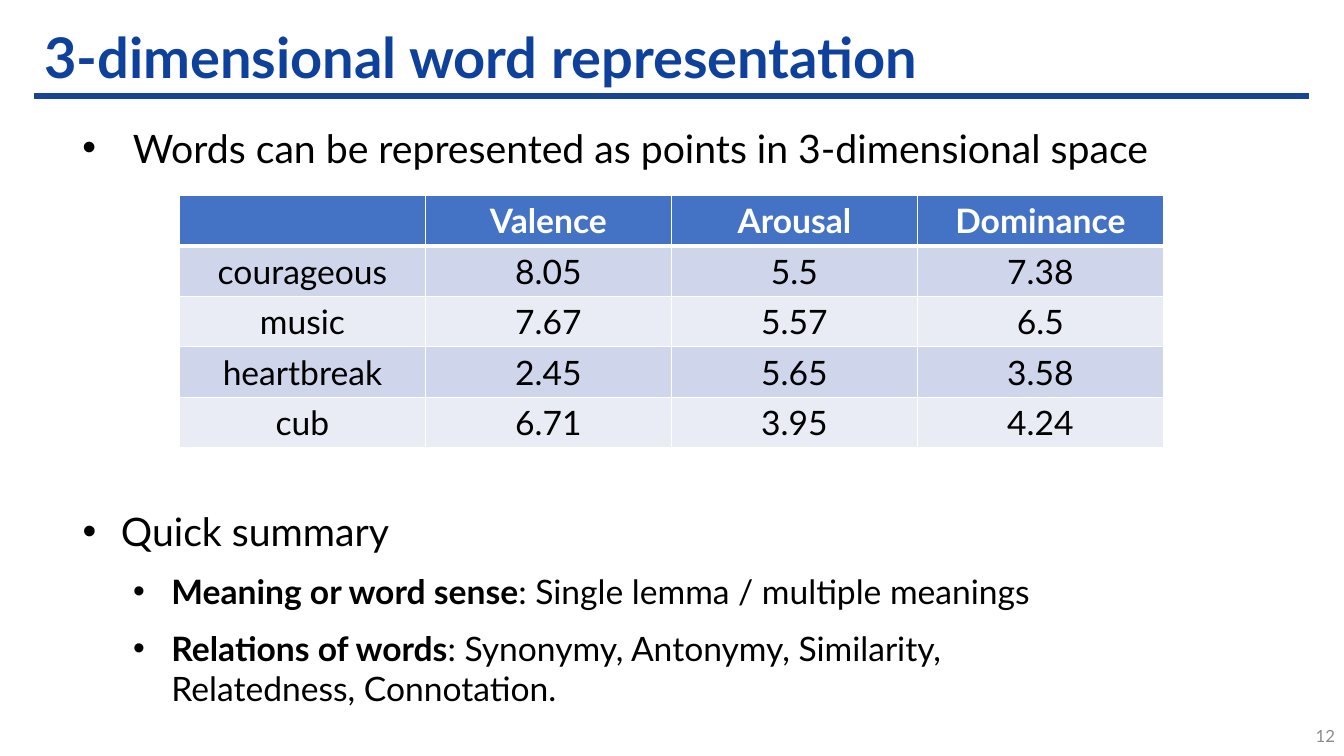
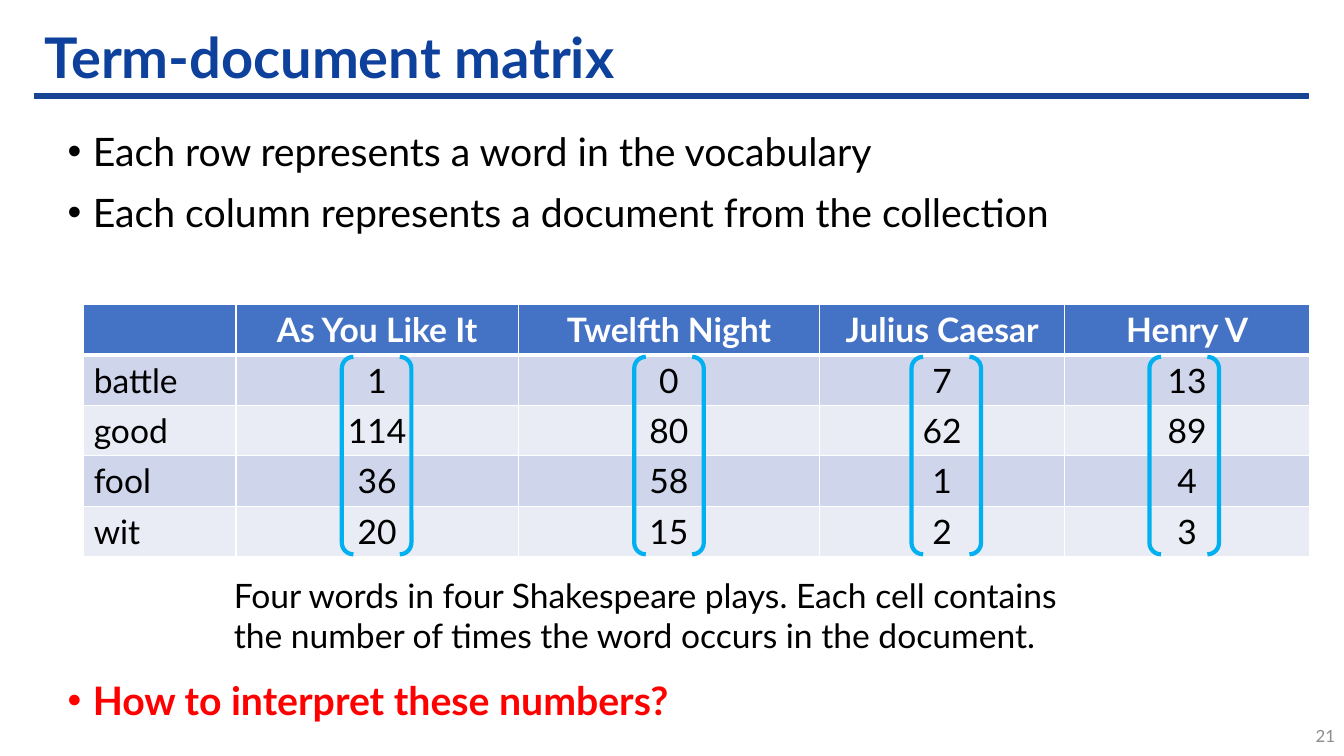
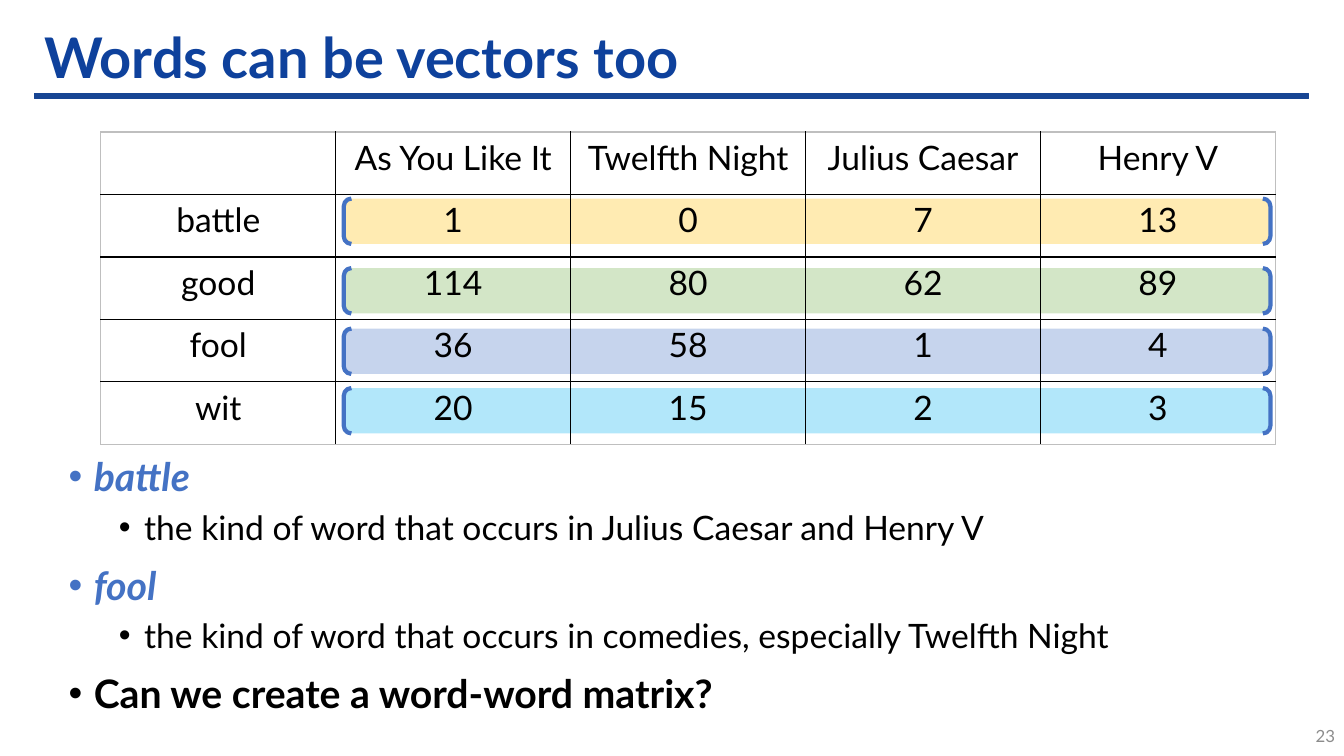
from lxml import etree
from pptx import Presentation
from pptx.dml.color import RGBColor
from pptx.enum.shapes import MSO_SHAPE
from pptx.enum.text import MSO_ANCHOR, MSO_AUTO_SIZE, PP_ALIGN
from pptx.oxml.ns import qn
from pptx.util import Inches, Pt

RECTANGLE = MSO_SHAPE.RECTANGLE
BRACKET_PAIR = MSO_SHAPE.DOUBLE_BRACKET
LEFT, CENTER, RIGHT = PP_ALIGN.LEFT, PP_ALIGN.CENTER, PP_ALIGN.RIGHT
TOP, MIDDLE = MSO_ANCHOR.TOP, MSO_ANCHOR.MIDDLE
NO_AUTOFIT = MSO_AUTO_SIZE.NONE

FONT = "Lato"
BLACK = RGBColor(0x00, 0x00, 0x00)
WHITE = RGBColor(0xFF, 0xFF, 0xFF)
RED = RGBColor(0xFF, 0x00, 0x00)
GRAY = RGBColor(0x8C, 0x8C, 0x8C)
FRAME_GRAY = RGBColor(0xBF, 0xBF, 0xBF)
TITLE_BLUE = RGBColor(0x0E, 0x41, 0x9C)
RULE_BLUE = RGBColor(0x17, 0x45, 0x93)
BLUE = RGBColor(0x44, 0x72, 0xC4)
SKY = RGBColor(0x00, 0xB0, 0xF0)
GREEN = RGBColor(0x70, 0xAD, 0x47)
GOLD = RGBColor(0xFF, 0xC0, 0x00)
BAND_DARK = RGBColor(0xCF, 0xD5, 0xEA)
BAND_LIGHT = RGBColor(0xE9, 0xEB, 0xF5)


def write(frame, runs, size, color=BLACK, indent=None, hanging=0.25, **layout):
    paragraph = frame.paragraphs[0]
    if paragraph.runs:
        paragraph = frame.add_paragraph()
    else:
        layout["space_before"] = Pt(0)
    for name, value in layout.items():
        setattr(paragraph, name, value)
    if indent is not None:
        properties = paragraph._p.get_or_add_pPr()
        properties.set("marL", str(Inches(indent)))
        properties.set("indent", str(-Inches(hanging)))
        etree.SubElement(properties, qn("a:buFont")).set("typeface", "Arial")
        etree.SubElement(properties, qn("a:buChar")).set("char", "•")
    for text, emphasis in runs:
        run = paragraph.add_run()
        run.text = text
        run.font.color.rgb = color
        font_format = {"name": FONT, "size": Pt(size), "bold": False, "italic": False}
        for name, value in (font_format | emphasis).items():
            setattr(run.font, name, value)


def draw_table(slide, rows, left, top, widths, row_height, banded, label_align):
    last_row, last_column = len(rows) - 1, len(widths) - 1
    table = slide.shapes.add_table(
        len(rows), len(widths), Inches(left), Inches(top),
        Inches(sum(widths)), Inches(row_height * len(rows))).table
    table.horz_banding = False
    for column, width in zip(table.columns, widths):
        column.width = Inches(width)
    for r, row in enumerate(rows):
        table.rows[r].height = Inches(row_height)
        for c, text in enumerate(row):
            cell = table.cell(r, c)
            outer = {"L": c == 0, "R": c == last_column, "T": r == 0, "B": r == last_row}
            for side, on_edge in outer.items():
                under_header = (r, side) in ((0, "B"), (1, "T"))
                line = etree.SubElement(cell._tc.get_or_add_tcPr(), qn("a:ln" + side))
                line.set("w", str(Pt(3 if banded and under_header else 1)))
                line_color = WHITE if banded else FRAME_GRAY if on_edge else BLACK
                paint = etree.SubElement(line, qn("a:solidFill"))
                etree.SubElement(paint, qn("a:srgbClr")).set("val", str(line_color))
            if banded:
                cell.fill.solid()
                cell.fill.fore_color.rgb = BLUE if r == 0 else (BAND_LIGHT, BAND_DARK)[r % 2]
            else:
                cell.fill.background()
            header = banded and r == 0
            write(cell.text_frame, [(text, {"bold": header})], 24, WHITE if header else BLACK,
                  alignment=CENTER if c else label_align)


prs = Presentation()
prs.slide_width, prs.slide_height = Inches(13.33), Inches(7.5)
layout = prs.slide_layouts[1]
for name, value in {"left": 0.34, "top": 0.26, "width": 12.64, "height": 0.67}.items():
    setattr(layout.placeholders[0], name, Inches(value))

pages = [
    ("3-dimensional word representation", "12", (0.72, 4.98, 10.57, 2.12)),
    ("Term-document matrix", "21", (0.57, 1.21, 12.1, 6.29)),
    ("Words can be vectors too", "23", (0.58, 4.44, 12.22, 3.06)),
]
slides, bodies = [], []
for title, number, place in pages:
    slide = prs.slides.add_slide(layout)
    slides.append(slide)
    heading = slide.shapes.title.text_frame
    heading.vertical_anchor = MIDDLE
    heading.auto_size = NO_AUTOFIT
    write(heading, [(title, {"bold": True})], 40, TITLE_BLUE, alignment=LEFT, line_spacing=0.9)
    body = slide.placeholders[1]
    for name, value in zip(("left", "top", "width", "height"), place):
        setattr(body, name, Inches(value))
    body.text_frame.auto_size = NO_AUTOFIT
    body.text_frame.vertical_anchor = TOP
    bodies.append(body.text_frame)
    page_number = slide.shapes.add_textbox(
        Inches(12.67), Inches(7.1), Inches(0.67), Inches(0.4)).text_frame
    page_number.word_wrap = True
    page_number.vertical_anchor = MIDDLE
    write(page_number, [(number, {})], 12, GRAY, alignment=RIGHT)

space_slide, matrix_slide, vector_slide = slides
summary, matrix_notes, vector_notes = bodies

title_rule = space_slide.shapes.add_shape(
    RECTANGLE, Inches(0.34), Inches(0.93), Inches(12.64), Inches(0.05))
title_rule.shadow.inherit = False
title_rule.fill.solid()
title_rule.fill.fore_color.rgb = RULE_BLUE
title_rule.line.color.rgb = RULE_BLUE
title_rule.line.width = Pt(1)
layout.shapes.element.append(title_rule.element)

claim = space_slide.shapes.add_textbox(
    Inches(0.72), Inches(1.18), Inches(11.13), Inches(0.57)).text_frame
claim.word_wrap = True
write(claim, [("Words can be represented as points in 3-dimensional space", {})], 28,
      indent=0.5, hanging=0.5)

ratings = [
    ("", "Valence", "Arousal", "Dominance"),
    ("courageous", "8.05", "5.5", "7.38"),
    ("music", "7.67", "5.57", "6.5"),
    ("heartbreak", "2.45", "5.65", "3.58"),
    ("cub", "6.71", "3.95", "4.24"),
]
draw_table(space_slide, ratings, 1.78, 1.94, [2.44] * 4, 0.5, True, CENTER)

summary_spacing = {"space_before": Pt(6), "space_after": Pt(6)}
write(summary, [("Quick summary", {})], 28, indent=0.38, hanging=0.38, **summary_spacing)
for term, explanation in (
    ("Meaning or word sense", ": Single lemma / multiple meanings"),
    ("Relations of words", ": Synonymy, Antonymy, Similarity, Relatedness, Connotation."),
):
    write(summary, [(term, {"bold": True}), (explanation, {})], 24,
          indent=0.88, hanging=0.38, level=1, **summary_spacing)

for text, color, bold, before in (
    ("Each row represents a word in the vocabulary", BLACK, False, 4),
    ("Each column represents a document from the collection", BLACK, False, 4),
    ("How to interpret these numbers?", RED, True, 309),
):
    write(matrix_notes, [(text, {"bold": bold})], 28, color, indent=0.25,
          space_before=Pt(before), space_after=Pt(6))

word_counts = [
    ("", "As You Like It", "Twelfth Night", "Julius Caesar", "Henry V"),
    ("battle", "1", "0", "7", "13"),
    ("good", "114", "80", "62", "89"),
    ("fool", "36", "58", "1", "4"),
    ("wit", "20", "15", "2", "3"),
]
draw_table(matrix_slide, word_counts, 0.83, 3.02, [1.51, 2.8, 2.99, 2.43, 2.43], 0.5, True, LEFT)

column_vectors = [(matrix_slide, left, 3.54, 0.69, 1.96, SKY, None)
                  for left in (3.39, 6.29, 9.04, 11.4)]
row_vectors = [(vector_slide, 3.41, top, 9.19, 0.45, BLUE, tint)
               for top, tint in ((1.97, GOLD), (2.66, GREEN), (3.26, BLUE), (3.85, SKY))]
for slide, left, top, width, height, outline, tint in column_vectors + row_vectors:
    bracket = slide.shapes.add_shape(
        BRACKET_PAIR, Inches(left), Inches(top), Inches(width), Inches(height))
    bracket.shadow.inherit = False
    bracket.line.color.rgb = outline
    bracket.line.width = Pt(3)
    if tint is None:
        bracket.fill.background()
    else:
        bracket.fill.solid()
        bracket.fill.fore_color.rgb = tint
        tint_color = bracket.element.spPr.find(qn("a:solidFill")).find(qn("a:srgbClr"))
        etree.SubElement(tint_color, qn("a:alpha")).set("val", "30000")

caption = matrix_slide.shapes.add_textbox(
    Inches(2.22), Inches(5.65), Inches(8.79), Inches(0.91)).text_frame
caption.word_wrap = True
write(caption, [("Four words in four Shakespeare plays. Each cell contains the number of times "
                 "the word occurs in the document.", {})], 24)

draw_table(vector_slide, word_counts, 1, 1.31, [2.33] * 5, 0.62, False, CENTER)

for word, kind in (
    ("battle", "the kind of word that occurs in Julius Caesar and Henry V"),
    ("fool", "the kind of word that occurs in comedies, especially Twelfth Night"),
):
    write(vector_notes, [(word, {"bold": True, "italic": True})], 28, BLUE,
          indent=0.25, space_before=Pt(10))
    write(vector_notes, [(kind, {})], 24, indent=0.75, level=1, space_before=Pt(5))
write(vector_notes, [("Can we create a word-word matrix?", {"bold": True})], 28,
      indent=0.25, space_before=Pt(10))

prs.save("out.pptx")
